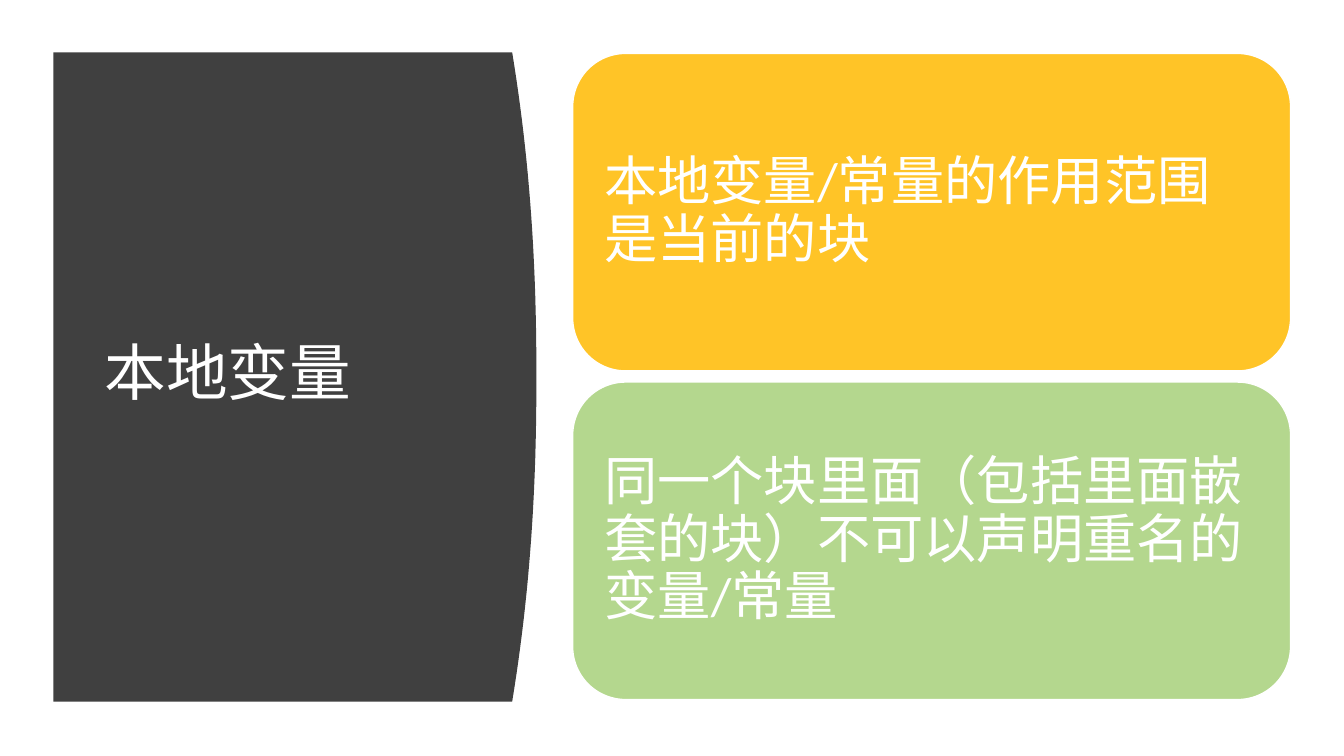
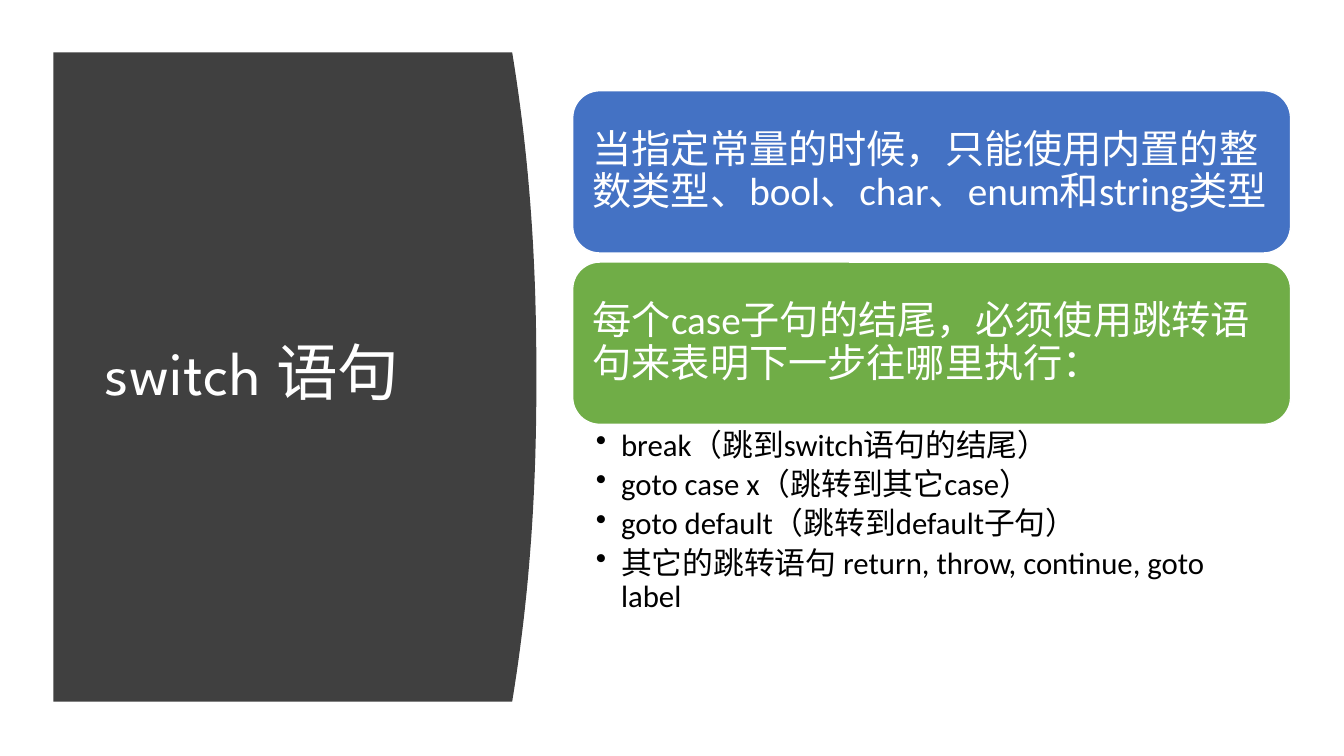
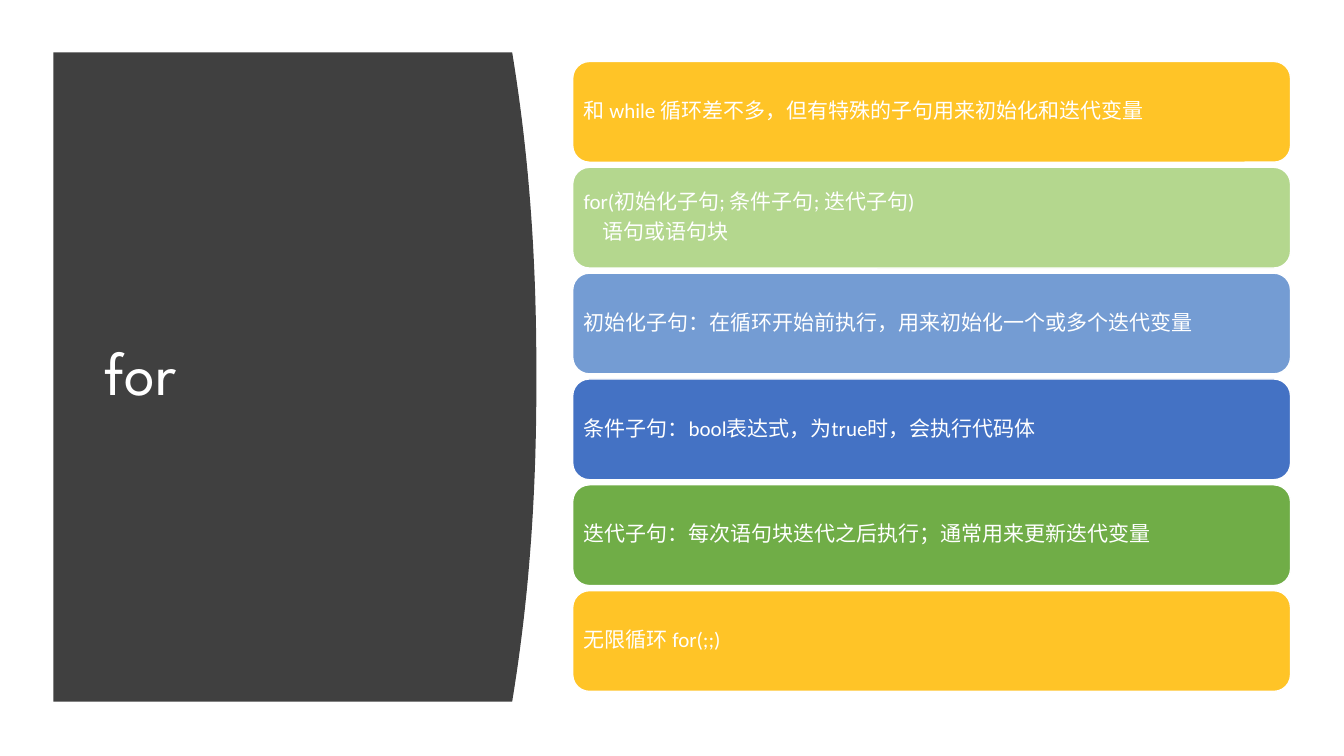
from dataclasses import dataclass

from lxml.etree import SubElement
from pptx import Presentation
from pptx.dml.color import RGBColor
from pptx.enum.lang import MSO_LANGUAGE_ID
from pptx.enum.shapes import MSO_SHAPE
from pptx.enum.text import MSO_ANCHOR, PP_ALIGN
from pptx.oxml.ns import qn
from pptx.util import Inches, Pt


@dataclass(frozen=True)
class Theme:
    panel: str = "404040"
    white: str = "FFFFFF"
    black: str = "000000"
    amber: str = "FFC427"
    lime: str = "B4D78E"
    sky: str = "749CD3"
    blue: str = "4472C4"
    green: str = "70AD47"
    title_font: str = "League Spartan"
    body_font: str = "Calibri"
    title_size: int = 44
    large_size: int = 38
    medium_size: int = 28
    bullet_size: int = 22
    small_size: int = 15


THEME = Theme()
CARD_LEFT, CARD_WIDTH = 5.68, 7.12


def set_all(target, values):
    for name, value in values.items():
        setattr(target, name, value)


class Deck:
    def __init__(self, theme):
        self.theme = theme
        self.presentation = Presentation()
        set_all(self.presentation, {"slide_width": Inches(13.33), "slide_height": Inches(7.5)})
        self.slide = None

    def start_slide(self, title):
        self.slide = self.presentation.slides.add_slide(self.presentation.slide_layouts[6])
        self.panel()
        heading = self.slide.shapes.add_textbox(
            Inches(0.94), Inches(1.11), Inches(3.74), Inches(5.24))
        self.fill_text(heading.text_frame, [title], self.theme.title_size,
                       self.theme.white, font=self.theme.title_font)

    def panel(self):
        """Dark block whose right edge bulges outwards."""
        left, top, right, bottom = 0.53, 0.52, 5.08, 6.96
        bulge, steps = 0.24, 48
        edge = []
        for step in range(steps + 1):
            offset = 2 * step / steps - 1
            edge.append((Inches(right + bulge * (1 - abs(offset) ** 2.2)),
                         Inches(top + (bottom - top) * step / steps)))
        outline = self.slide.shapes.build_freeform(Inches(left), Inches(top), scale=1.0)
        outline.add_line_segments(edge + [(Inches(left), Inches(bottom))], close=True)
        block = outline.convert_to_shape()
        self.paint(block, self.theme.panel)
        block.line.fill.background()

    def paint(self, shape, color):
        shape.shadow.inherit = False
        shape.fill.solid()
        shape.fill.fore_color.rgb = RGBColor.from_string(color)

    def fill_text(self, frame, lines, size, color, font=None, after=0.0,
                  insets=(0.1, 0.05, 0.1, 0.05), anchor=MSO_ANCHOR.MIDDLE, bullet=None):
        """Fill a frame; after is the space below a paragraph as a share of its size."""
        left, top, right, bottom = map(Inches, insets)
        set_all(frame, {"word_wrap": True, "vertical_anchor": anchor,
                        "margin_left": left, "margin_top": top,
                        "margin_right": right, "margin_bottom": bottom})
        for index, line in enumerate(lines):
            paragraph = frame.add_paragraph() if index else frame.paragraphs[0]
            if bullet:
                self.add_bullet(paragraph, bullet)
            set_all(paragraph, {"alignment": PP_ALIGN.LEFT, "line_spacing": 0.9,
                                "space_after": Pt(size * after)})
            run = paragraph.add_run()
            run.text = line
            set_all(run.font, {"name": font or self.theme.body_font, "size": Pt(size),
                               "language_id": MSO_LANGUAGE_ID.SIMPLIFIED_CHINESE})
            run.font.color.rgb = RGBColor.from_string(color)

    def add_bullet(self, paragraph, character):
        properties = paragraph._p.get_or_add_pPr()
        properties.set("marL", str(Inches(0.25)))
        properties.set("indent", str(Inches(-0.25)))
        SubElement(properties, qn("a:buChar")).set("char", character)

    def cards(self, entries, top, height, pitch, size, inset):
        """Stack of rounded cards; each entry is a fill colour and its lines."""
        for index, (color, *lines) in enumerate(entries):
            card = self.slide.shapes.add_shape(
                MSO_SHAPE.ROUNDED_RECTANGLE, Inches(CARD_LEFT), Inches(top + index * pitch),
                Inches(CARD_WIDTH), Inches(height))
            self.paint(card, color)
            card.line.color.rgb = RGBColor.from_string(self.theme.white)
            card.line.width = Pt(1)
            self.fill_text(card.text_frame, lines, size, self.theme.white,
                           after=0.35, insets=(inset,) * 4)

    def bullets(self, lines, top, height):
        listing = self.slide.shapes.add_textbox(
            Inches(CARD_LEFT), Inches(top), Inches(CARD_WIDTH), Inches(height))
        self.fill_text(listing.text_frame, lines, self.theme.bullet_size, self.theme.black,
                       after=0.2, insets=(0.23, 0.04, 0.22, 0.04),
                       anchor=MSO_ANCHOR.TOP, bullet="•")


def main():
    deck = Deck(THEME)

    deck.start_slide("本地变量")
    deck.cards([
        (THEME.amber, "本地变量/常量的作用范围是当前的块"),
        (THEME.lime, "同一个块里面（包括里面嵌套的块）不可以声明重名的变量/常量"),
    ], top=0.53, height=3.15, pitch=3.26, size=THEME.large_size, inset=0.16)

    deck.start_slide("switch 语句")
    deck.cards([
        (THEME.blue, "当指定常量的时候，只能使用内置的整数类型、bool、char、enum和string类型"),
        (THEME.green, "每个case子句的结尾，必须使用跳转语句来表明下一步往哪里执行："),
    ], top=0.9, height=1.61, pitch=1.7, size=THEME.medium_size, inset=0.12)
    deck.bullets([
        "break（跳到switch语句的结尾）",
        "goto case x（跳转到其它case）",
        "goto default（跳转到default子句）",
        "其它的跳转语句 return, throw, continue, goto label",
    ], top=4.22, height=2.35)

    deck.start_slide("for")
    deck.cards([
        (THEME.amber, "和 while 循环差不多，但有特殊的子句用来初始化和迭代变量"),
        (THEME.lime, "for(初始化子句; 条件子句; 迭代子句)", "    语句或语句块"),
        (THEME.sky, "初始化子句：在循环开始前执行，用来初始化一个或多个迭代变量"),
        (THEME.blue, "条件子句：bool表达式，为true时，会执行代码体"),
        (THEME.green, "迭代子句：每次语句块迭代之后执行；通常用来更新迭代变量"),
        (THEME.amber, "无限循环 for(;;)"),
    ], top=0.61, height=1, pitch=1.05, size=THEME.small_size, inset=0.06)

    deck.presentation.save("out.pptx")


if __name__ == "__main__":
    main()
